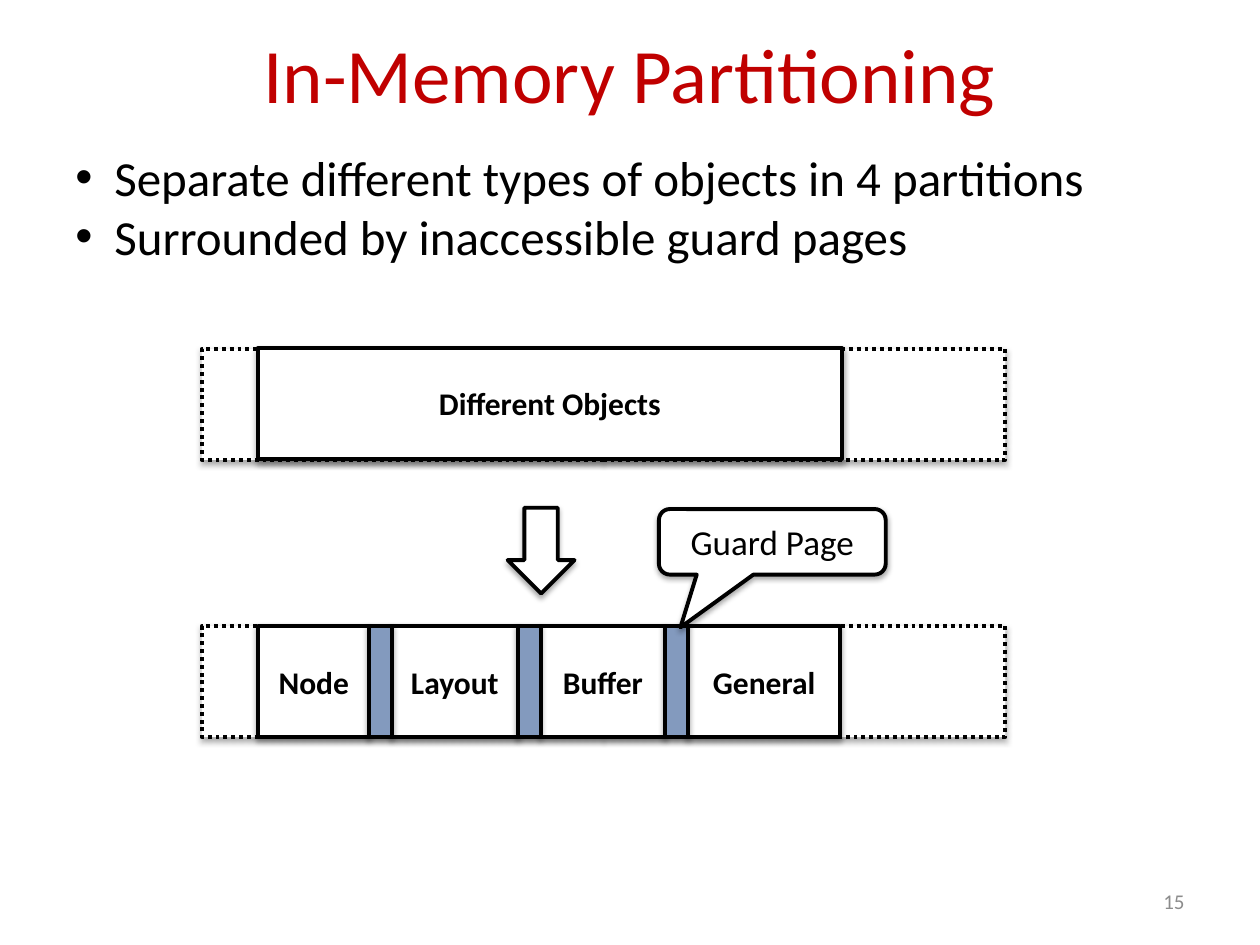
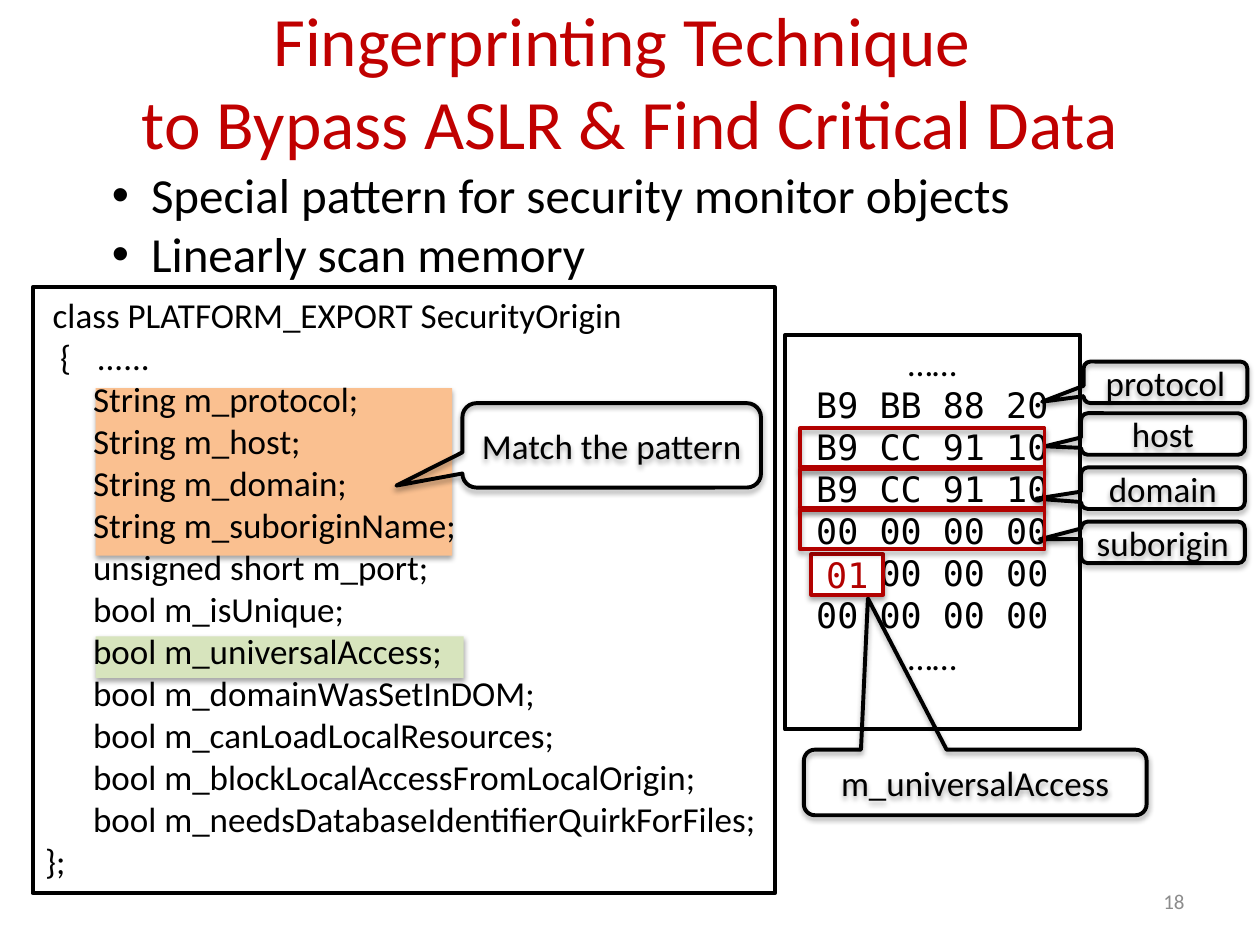
from pptx import Presentation
from pptx import util as u
from pptx.dml import color
from pptx.enum import dml, shapes, text
from pptx.oxml import parse_xml
from pptx.oxml import ns

FONT, MONO = "Calibri", "DejaVu Sans Mono"
BLACK, WHITE, TITLE_RED, MARK_RED = "000000", "FFFFFF", "C00000", "B20100"
NUMBER_GREY, GUARD_BLUE, ORANGE, GREEN = "8C8C8C", "839ABE", "FAC090", "D7E4BD"
RECT = shapes.MSO_SHAPE.RECTANGLE
CALLOUT = shapes.MSO_SHAPE.ROUNDED_RECTANGULAR_CALLOUT
LEFT, CENTER, RIGHT = text.PP_ALIGN.LEFT, text.PP_ALIGN.CENTER, text.PP_ALIGN.RIGHT
MIDDLE, TOP = text.MSO_ANCHOR.MIDDLE, text.MSO_ANCHOR.TOP

FIELDS = [
    "String m_protocol;", "String m_host;", "String m_domain;",
    "String m_suboriginName;", "unsigned short m_port;", "bool m_isUnique;",
    "bool m_universalAccess;", "bool m_domainWasSetInDOM;",
    "bool m_canLoadLocalResources;", "bool m_blockLocalAccessFromLocalOrigin;",
    "bool m_needsDatabaseIdentifierQuirkForFiles;",
]
MEMORY = ["……", "B9 BB 88 20", "B9 CC 91 10", "B9 CC 91 10",
          "00 00 00 00", "00 00 00 00", "00 00 00 00", "……"]


def rgb(value):
    """Turn a hex string into a colour."""
    return color.RGBColor.from_string(value)


def box(at):
    """Turn left, top, width and height in inches into lengths."""
    return [u.Inches(length) for length in at]


def style(paragraph, size, ink=BLACK, font=FONT, bold=False, align=LEFT):
    """Format one paragraph and its runs."""
    paragraph.alignment = align
    for run in paragraph.runs:
        run.font.size = u.Pt(size)
        run.font.name = font
        run.font.bold = bold
        run.font.color.rgb = rgb(ink)


def indent(paragraph, margin, first=0.0, bullet=None):
    """Set the indents of a paragraph and, if given, its bullet."""
    properties = paragraph._p.get_or_add_pPr()
    properties.set("marL", str(u.Inches(margin)))
    properties.set("indent", str(u.Inches(first)))
    if bullet:
        properties.append(parse_xml(
            f'<a:buFont {ns.nsdecls("a")} typeface="Arial"/>'))
        properties.append(parse_xml(
            f'<a:buChar {ns.nsdecls("a")} char="{bullet}"/>'))


def add_shape(slide, kind, at, fill=None, line=BLACK, shadow=True):
    """Add a preset shape, with the theme's soft shadow if wanted."""
    shape = slide.shapes.add_shape(kind, *box(at))
    if not shadow:
        shape.shadow.inherit = False
    if fill:
        shape.fill.solid()
        shape.fill.fore_color.rgb = rgb(fill)
    else:
        shape.fill.background()
    if line:
        shape.line.color.rgb = rgb(line)
        shape.line.width = u.Pt(2.25)
    else:
        shape.line.fill.background()
    return shape


def label(shape, words, size, **look):
    """Write one centred line in a shape."""
    frame = shape.text_frame
    frame.text = words
    frame.word_wrap = False
    frame.vertical_anchor = MIDDLE
    style(frame.paragraphs[0], size, align=CENTER, **look)


def add_callout(slide, at, words, tip, fill=None):
    """Add a rounded callout whose tip is relative to its size."""
    callout = add_shape(slide, CALLOUT, at, fill)
    for index, value in enumerate((*tip, 0.167)):
        callout.adjustments[index] = value
    label(callout, words, 20)


def add_panel(slide, at, lines):
    """Add an outlined panel of lines and return its paragraphs."""
    panel = add_shape(slide, RECT, at, shadow=False)
    frame = panel.text_frame
    frame.text = "\n".join(lines)
    frame.word_wrap = True
    frame.vertical_anchor = TOP
    return frame.paragraphs


def add_bullets(slide, at, lines):
    """Add the bulleted statements under the title."""
    frame = slide.shapes.add_textbox(*box(at)).text_frame
    frame.word_wrap = True
    frame.text = "\n".join(lines)
    for paragraph in frame.paragraphs:
        style(paragraph, 28)
        indent(paragraph, 0.31, -0.31, "•")


def start_slide(deck, title, top, size, number):
    """Add a slide with its red title and page number."""
    slide = deck.slides.add_slide(deck.slide_layouts[5])
    heading = slide.shapes.title
    heading.left, heading.top, heading.width, heading.height = box((0.5, top, 9, 1.25))
    heading.text_frame.text = title
    heading.text_frame.vertical_anchor = MIDDLE
    style(heading.text_frame.paragraphs[0], size, TITLE_RED, align=CENTER)
    page = slide.shapes.add_textbox(*box((7.17, 6.95, 2.33, 0.4))).text_frame
    page.word_wrap = True
    page.text = str(number)
    page.vertical_anchor = MIDDLE
    style(page.paragraphs[0], 12, NUMBER_GREY, align=RIGHT)
    return slide


def add_address_space(slide, top):
    """Add the dotted strip that stands for all memory."""
    strip = add_shape(slide, RECT, (1.6, top, 6.38, 0.88), WHITE)
    strip.line.dash_style = dml.MSO_LINE.ROUND_DOT


def add_partition(slide, left, top, width, words):
    """Add a labelled memory partition."""
    partition = add_shape(slide, RECT, (left, top, width, 0.88), WHITE)
    label(partition, words, 18, bold=True)


def build_partitioning(deck):
    """Build the slide on memory partitions and guard pages."""
    slide = start_slide(deck, "In-Memory Partitioning", -0.05, 44, 15)
    add_bullets(slide, (0.5, 1.12, 8.31, 1.04),
                ["Separate different types of objects in 4 partitions",
                 "Surrounded by inaccessible guard pages"])
    add_address_space(slide, 2.77)
    add_partition(slide, 2.05, 2.76, 4.63, "Different Objects")

    top, guard_width, left = 4.97, 0.18, 2.05
    add_address_space(slide, top)
    guards = []
    for words, width in (("Node", 0.88), ("Layout", 1.0),
                         ("Buffer", 0.99), ("General", 1.21)):
        add_partition(slide, left, top, width, words)
        guards.append(left + width)
        left += width + guard_width
    add_shape(slide, shapes.MSO_SHAPE.DOWN_ARROW, (4.03, 4.03, 0.53, 0.68), WHITE)
    for guard_left in guards[:-1]:
        add_shape(slide, RECT, (guard_left, top, guard_width, 0.88), GUARD_BLUE)
    add_callout(slide, (5.23, 4.04, 1.8, 0.52), "Guard Page", (-0.405, 1.306), WHITE)


def add_code(slide):
    """Add the class listing with its highlighted members."""
    add_shape(slide, RECT, (0.76, 3.08, 2.83, 1.33), ORANGE, None)
    add_shape(slide, RECT, (0.76, 5.05, 2.92, 0.33), GREEN, None)
    lines = ["class PLATFORM_EXPORT SecurityOrigin", "{\t......", *FIELDS, "};"]
    paragraphs = add_panel(slide, (0.26, 2.28, 5.89, 4.81), lines)
    for paragraph in paragraphs:
        style(paragraph, 20)
    indent(paragraphs[0], 0.06)
    indent(paragraphs[1], 0.41, -0.29)
    for member in paragraphs[2:-1]:
        indent(member, 0.38)


def add_memory(slide):
    """Add the memory dump, its callouts and its marked rows."""
    paragraphs = add_panel(slide, (6.23, 2.66, 2.34, 3.13), MEMORY)
    for paragraph, row in zip(paragraphs, MEMORY):
        style(paragraph, 20, font=FONT if row == "……" else MONO, align=CENTER)
    for words, left, top, tip in (
            ("protocol", 8.6, 2.87, (-0.753, 0.466)),
            ("host", 8.58, 3.28, (-0.721, 0.297)),
            ("domain", 8.58, 3.71, (-0.774, 0.254)),
            ("suborigin", 8.58, 4.14, (-0.753, -0.072))):
        add_callout(slide, (left, top, 1.3, 0.33), words, tip)
    add_callout(slide, (6.38, 5.95, 2.72, 0.52), "m_universalAccess", (-0.313, -2.809))
    flag = add_shape(slide, RECT, (6.44, 4.4, 0.57, 0.32), WHITE, MARK_RED)
    label(flag, "01", 20, ink=MARK_RED, font=MONO)
    for row in range(3):
        add_shape(slide, RECT, (6.35, 3.4 + row * 0.325, 1.94, 0.31), line=MARK_RED)


def build_fingerprinting(deck):
    """Build the slide on finding objects by their memory pattern."""
    slide = start_slide(
        deck, "Fingerprinting Technique \vto Bypass ASLR & Find Critical Data",
        0.01, 39.6, 18)
    add_bullets(slide, (0.79, 1.26, 7.41, 1.04),
                ["Special pattern for security monitor objects",
                 "Linearly scan memory"])
    add_code(slide)
    add_callout(slide, (3.67, 3.2, 2.37, 0.67), "Match the pattern", (-0.721, 0.477))
    add_memory(slide)


def main():
    """Build and save the two slides."""
    deck = Presentation()
    deck.slide_width, deck.slide_height = u.Inches(10), u.Inches(7.5)
    build_partitioning(deck)
    build_fingerprinting(deck)
    deck.save("out.pptx")


if __name__ == "__main__":
    main()
